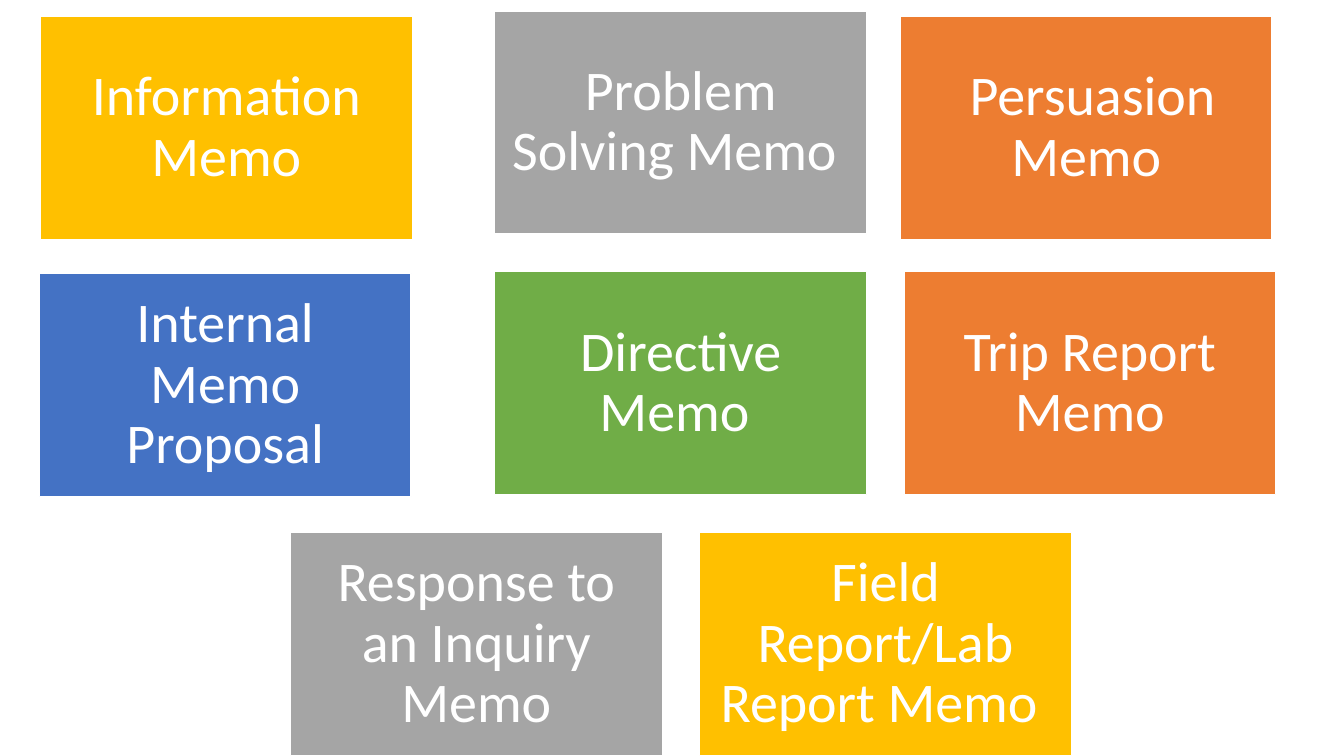
from pptx import Presentation
from pptx import util as u
from pptx.dml.color import RGBColor
from pptx.enum import shapes, text

COLORS = {
    "orange": "ED7D31",
    "gray": "A5A5A5",
    "gold": "FFC000",
    "blue": "4472C4",
    "green": "70AD47",
    "white": "FFFFFF",
}
WHITE = RGBColor.from_string(COLORS["white"])
CARD_WIDTH, CARD_HEIGHT = u.Cm(9.37), u.Cm(5.62)
INSET = u.Cm(0.43)

memo_cards = [
    (" Persuasion Memo", "orange", 22.69, 0.41),
    ("Problem Solving Memo ", "gray", 12.47, 0.28),
    ("Information Memo", "gold", 1.02, 0.41),
    ("Internal Memo Proposal", "blue", 0.99, 6.89),
    ("Directive Memo ", "green", 12.47, 6.85),
    ("Trip Report Memo", "orange", 22.78, 6.85),
    ("Response to an Inquiry Memo", "gray", 7.32, 13.42),
    ("Field Report/Lab Report Memo ", "gold", 17.63, 13.42),
]

presentation = Presentation()
presentation.slide_width = u.Cm(33.87)
presentation.slide_height = u.Cm(19.05)
slide = presentation.slides.add_slide(presentation.slide_layouts[6])

for label, color, left, top in memo_cards:
    card = slide.shapes.add_shape(
        shapes.MSO_SHAPE.RECTANGLE, u.Cm(left), u.Cm(top), CARD_WIDTH, CARD_HEIGHT
    )
    card.shadow.inherit = False
    card.fill.solid()
    card.fill.fore_color.rgb = RGBColor.from_string(COLORS[color])
    card.line.color.rgb = WHITE
    card.line.width = u.Pt(1)

    frame = card.text_frame
    frame.word_wrap = True
    frame.vertical_anchor = text.MSO_ANCHOR.MIDDLE
    frame.margin_left = frame.margin_right = INSET
    frame.margin_top = frame.margin_bottom = INSET

    paragraph = frame.paragraphs[0]
    paragraph.alignment = text.PP_ALIGN.CENTER
    paragraph.line_spacing = 0.9
    run = paragraph.add_run()
    run.text = label
    run.font.name = "Calibri"
    run.font.size = u.Pt(40)
    run.font.color.rgb = WHITE

presentation.save("out.pptx")
